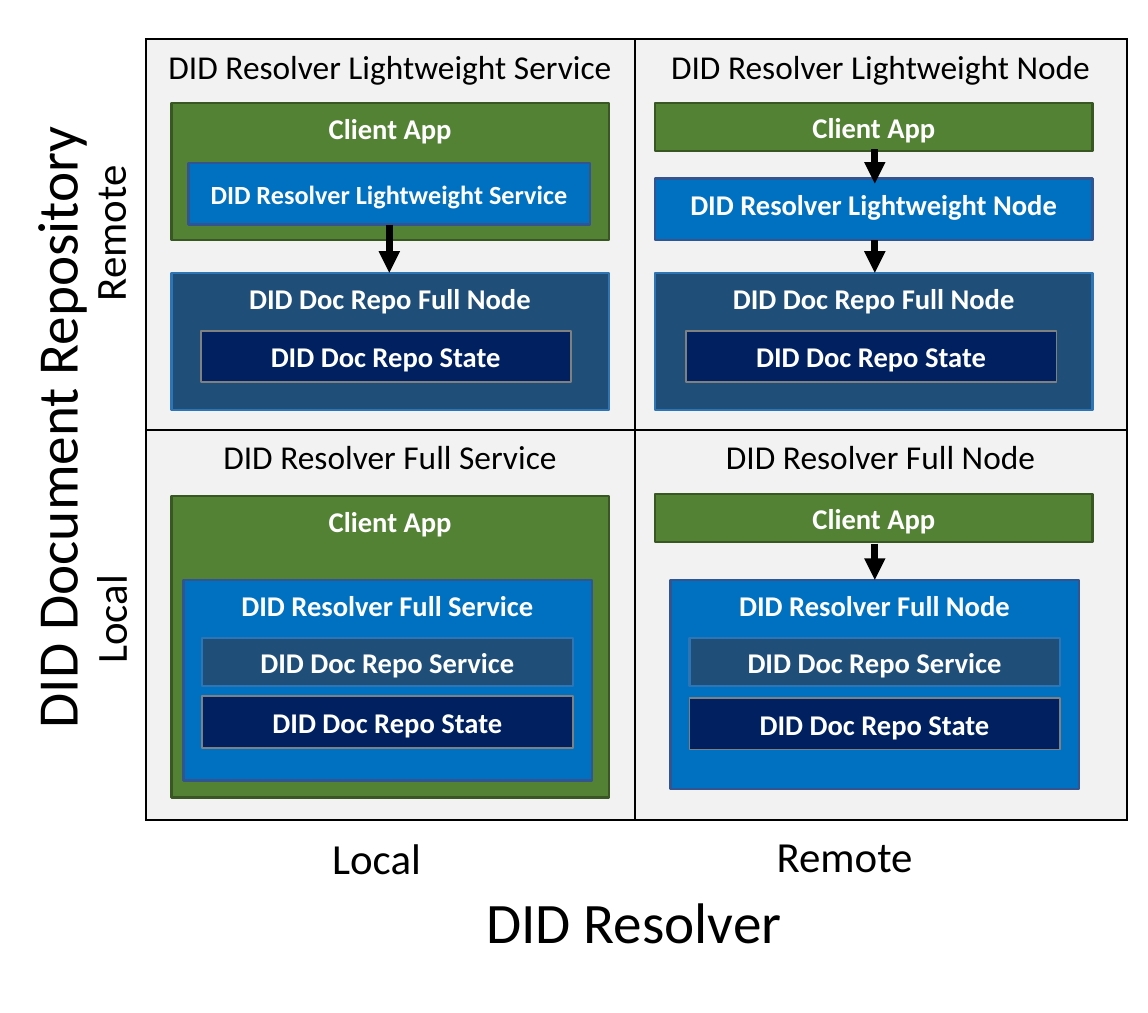
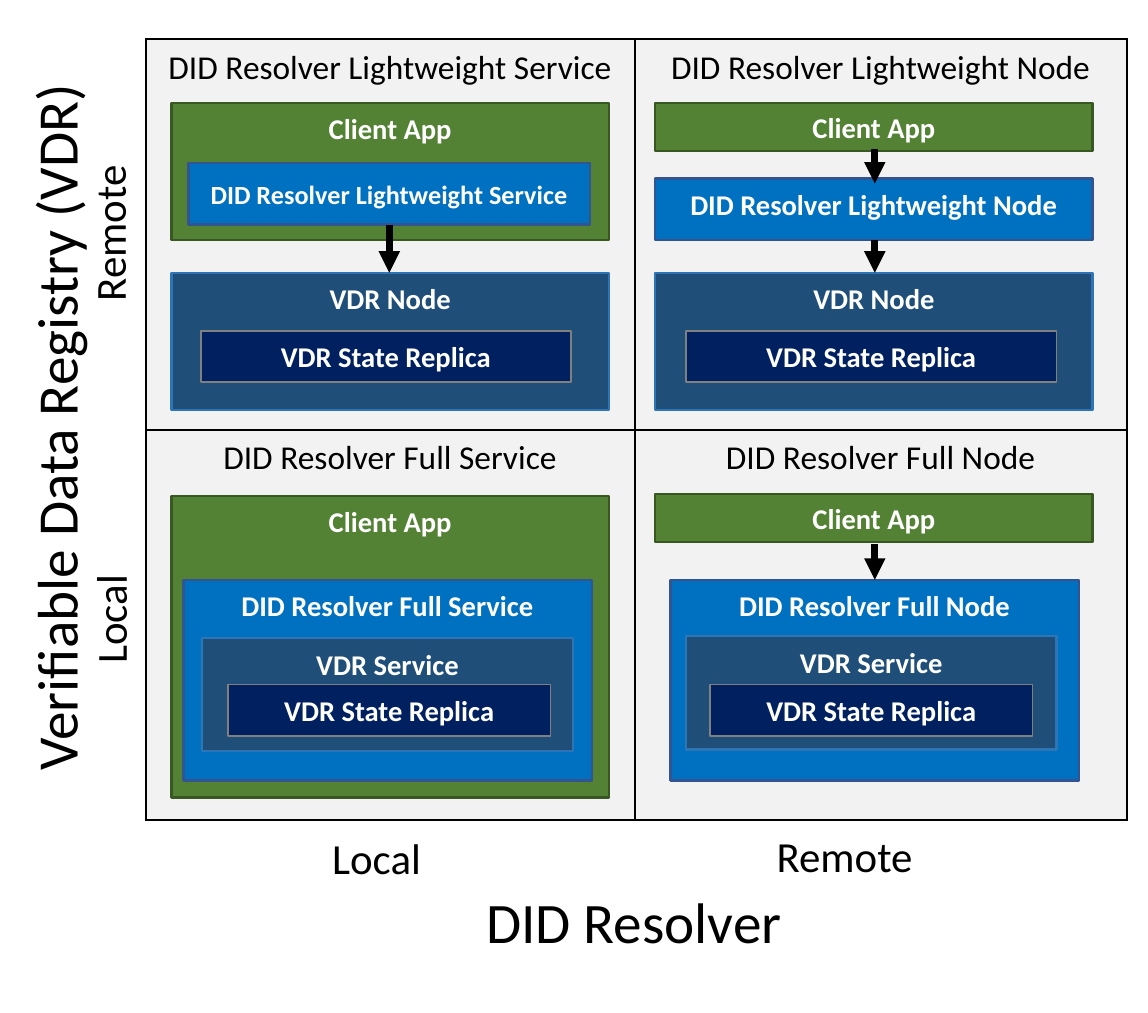
from lxml import etree
from pptx import Presentation
from pptx.dml.color import RGBColor
from pptx.enum.shapes import MSO_CONNECTOR, MSO_SHAPE
from pptx.enum.text import MSO_ANCHOR as Anchor, PP_ALIGN as Align
from pptx.oxml.ns import qn
from pptx.util import Cm, Inches, Pt

FONT = "Calibri"
BLACK = RGBColor(0x00, 0x00, 0x00)
WHITE = RGBColor(0xFF, 0xFF, 0xFF)
PALE_GREY = RGBColor(0xF2, 0xF2, 0xF2)
GREY = RGBColor(0x80, 0x80, 0x80)
GREEN = RGBColor(0x54, 0x82, 0x35)
DARK_GREEN = RGBColor(0x38, 0x57, 0x23)
BLUE = RGBColor(0x00, 0x70, 0xC0)
INDIGO = RGBColor(0x32, 0x54, 0x91)
STEEL = RGBColor(0x1F, 0x4E, 0x79)
LIGHT_STEEL = RGBColor(0x2E, 0x75, 0xB6)
NAVY = RGBColor(0x00, 0x20, 0x60)

# Fill, outline colour and outline width in points of each kind of component
CLIENT = (GREEN, DARK_GREEN, 1)
RESOLVER = (BLUE, INDIGO, 1)
REPOSITORY = (STEEL, LIGHT_STEEL, 1)
STATE = (NAVY, GREY, 0.75)

QUADRANTS = [
    ["DID Resolver Lightweight Service", "DID Resolver Lightweight Node"],
    ["DID Resolver Full Service", "DID Resolver Full Node"],
]
COLUMN_WIDTHS = (2.85, 2.87)
TABLE_HEIGHT = 4.55
LOCAL_LEFT, REMOTE_LEFT = 1, 3.82
WIDE = 2.55
STATE_WIDTH, STATE_HEIGHT = 2.16, 0.3
BAR_HEIGHT = 0.28
REMOTE_CENTRE = 5.1


def write(frame, words, size=12, color=WHITE, bold=False, anchor=Anchor.TOP):
    """Fill a text frame with one centred paragraph."""
    frame.word_wrap = True
    frame.vertical_anchor = anchor
    para = frame.paragraphs[0]
    para.alignment = Align.CENTER
    span = para.add_run()
    span.text = words
    span.font.name = FONT
    span.font.size = Pt(size)
    span.font.bold = bold
    span.font.color.rgb = color


def add_box(page, kind, words, left, top, width, height, **text_format):
    fill, outline, weight = kind
    box = page.shapes.add_shape(MSO_SHAPE.RECTANGLE, Inches(left), Inches(top),
                                Inches(width), Inches(height))
    box.shadow.inherit = False
    box.fill.solid()
    box.fill.fore_color.rgb = fill
    box.line.color.rgb = outline
    box.line.width = Pt(weight)
    write(box.text_frame, words, bold=True, **text_format)


def add_label(page, words, left, top, width, height, size, rotation=0):
    label = page.shapes.add_textbox(Inches(left), Inches(top), Inches(width), Inches(height))
    label.rotation = rotation
    write(label.text_frame, words, size=size, color=BLACK)


def add_down_arrow(page, x, top, bottom):
    arrow = page.shapes.add_connector(MSO_CONNECTOR.STRAIGHT, Inches(x), Inches(top),
                                      Inches(x), Inches(bottom))
    arrow.line.color.rgb = BLACK
    arrow.line.width = Pt(3)
    etree.SubElement(arrow.line._get_or_add_ln(), qn("a:tailEnd"), type="triangle")
    etree.SubElement(arrow._element.spPr, qn("a:effectLst"))


def add_borders(cell):
    properties = cell._tc.get_or_add_tcPr()
    for side in ("a:lnL", "a:lnR", "a:lnT", "a:lnB"):
        border = etree.SubElement(properties, qn(side), w=str(Pt(1)))
        fill = etree.SubElement(border, qn("a:solidFill"))
        etree.SubElement(fill, qn("a:srgbClr"), val=str(BLACK))


def add_quadrants(page):
    table = page.shapes.add_table(2, 2, Inches(0.85), Inches(0.23), Inches(sum(COLUMN_WIDTHS)),
                                  Inches(TABLE_HEIGHT)).table
    table.first_row = table.horz_banding = False
    for column, width in zip(table.columns, COLUMN_WIDTHS):
        column.width = Inches(width)
    for row, titles in zip(table.rows, QUADRANTS):
        row.height = Inches(TABLE_HEIGHT / 2)
        for cell, title in zip(row.cells, titles):
            add_borders(cell)
            cell.fill.solid()
            cell.fill.fore_color.rgb = PALE_GREY
            write(cell.text_frame, title, size=14, color=BLACK)


def add_axes(page, repository_axis):
    add_label(page, repository_axis, -1.94, 2.24, 4.52, 0.5, 24, rotation=270)
    add_label(page, "Remote", -0.5, 1.16, 2.27, 0.4, 18, rotation=270)
    add_label(page, "Local", -0.45, 3.41, 2.18, 0.4, 18, rotation=270)
    add_label(page, "Remote", 3.56, 4.79, 2.73, 0.4, 18)
    add_label(page, "Local", 0.84, 4.8, 2.71, 0.4, 18)
    add_label(page, "DID Resolver", 0.84, 5.12, 5.71, 0.5, 24)


def add_remote_repositories(page, node, state):
    for left, state_left in ((LOCAL_LEFT, 1.17), (REMOTE_LEFT, 4)):
        add_box(page, REPOSITORY, node, left, 1.59, WIDE, 0.8)
        add_box(page, STATE, state, state_left, 1.93, STATE_WIDTH, STATE_HEIGHT)


def add_resolvers(page, full_node_height):
    """Add the client apps and the resolver of each quadrant."""
    (light_service, light_node), (full_service, full_node) = QUADRANTS
    add_box(page, CLIENT, "Client App", LOCAL_LEFT, 0.6, WIDE, 0.8)
    add_box(page, RESOLVER, light_service, 1.1, 0.95, 2.34, 0.36, size=11, anchor=Anchor.MIDDLE)
    add_box(page, RESOLVER, light_node, REMOTE_LEFT, 1.04, WIDE, 0.36)
    add_box(page, CLIENT, "Client App", LOCAL_LEFT, 2.89, WIDE, 1.76)
    add_box(page, RESOLVER, full_service, 1.07, 3.38, 2.38, 1.17)
    add_box(page, RESOLVER, full_node, 3.91, 3.38, 2.38, full_node_height)
    for top in (0.6, 2.88):
        add_box(page, CLIENT, "Client App", REMOTE_LEFT, top, WIDE, BAR_HEIGHT,
                anchor=Anchor.MIDDLE)


def add_arrows(page):
    add_down_arrow(page, 2.27, 1.31, 1.59)
    for top, bottom in ((0.87, 1.07), (1.4, 1.59), (3.17, 3.38)):
        add_down_arrow(page, REMOTE_CENTRE, top, bottom)


def add_stacked_repositories(page, service, state):
    """Put the state under the service in both lower quadrants."""
    for left, state_top in ((1.18, 4.06), (4.02, 4.07)):
        add_box(page, REPOSITORY, service, left, 3.72, STATE_WIDTH, BAR_HEIGHT,
                anchor=Anchor.MIDDLE)
        add_box(page, STATE, state, left, state_top, STATE_WIDTH, STATE_HEIGHT)


def add_nested_repositories(page, service, state):
    """Put the state inside the service in both lower quadrants."""
    for left, top, state_left in ((1.18, 3.72, 1.33), (4, 3.71, 4.14)):
        add_box(page, REPOSITORY, service, left, top, STATE_WIDTH, 0.66)
        add_box(page, STATE, state, state_left, 3.99, 1.88, STATE_HEIGHT)


def add_architecture(deck, axis, node, service, state, add_local_repositories, full_node_height):
    page = deck.slides.add_slide(deck.slide_layouts[6])
    add_quadrants(page)
    add_axes(page, axis)
    add_resolvers(page, full_node_height)
    add_remote_repositories(page, node, state)
    add_local_repositories(page, service, state)
    add_arrows(page)


def set_page_size(deck):
    """Set 17 by 15 cm and drop the 4:3 tag of the default template."""
    deck.slide_width, deck.slide_height = Cm(17), Cm(15)
    deck.element.sldSz.attrib.pop("type", None)


def main():
    deck = Presentation()
    set_page_size(deck)
    add_architecture(deck, "DID Document Repository", "DID Doc Repo Full Node",
                     "DID Doc Repo Service", "DID Doc Repo State",
                     add_stacked_repositories, full_node_height=1.22)
    add_architecture(deck, "Verifiable Data Registry (VDR)", "VDR Node",
                     "VDR Service", "VDR State Replica",
                     add_nested_repositories, full_node_height=1.17)
    deck.save("out.pptx")


if __name__ == "__main__":
    main()
